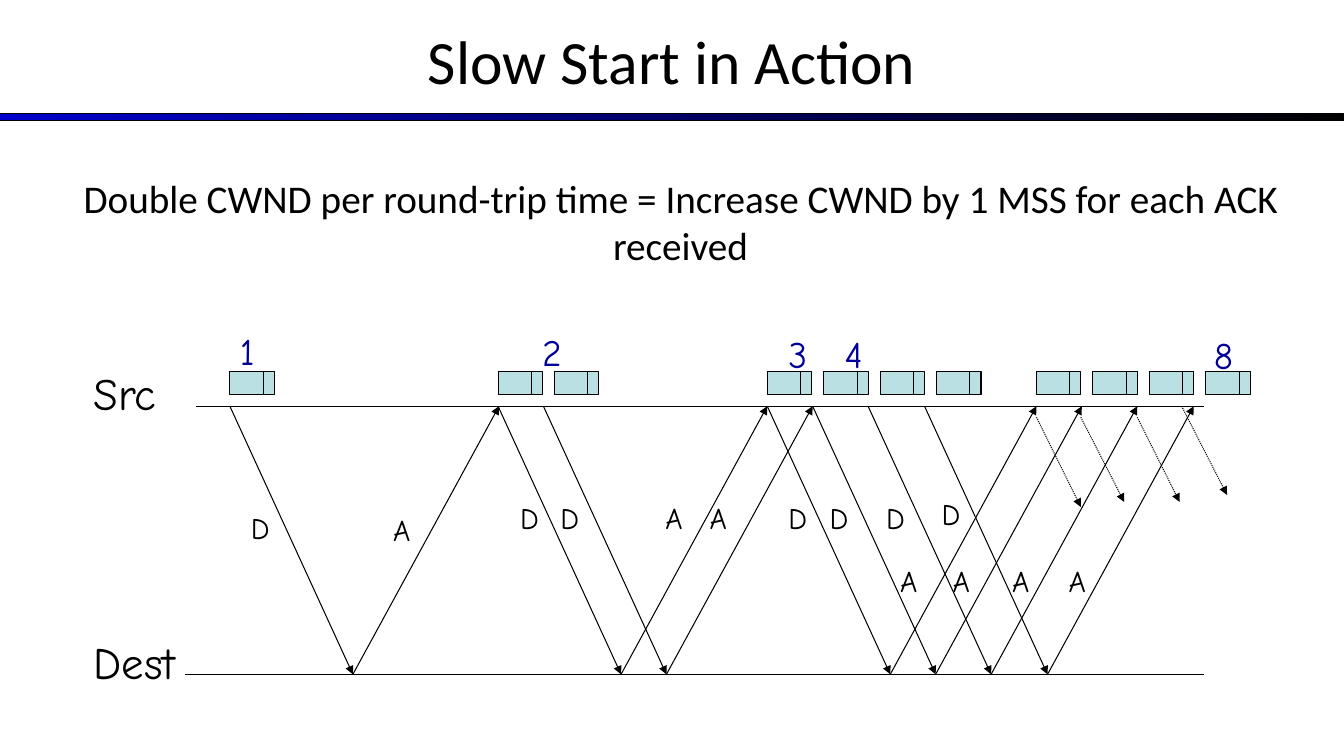
from dataclasses import dataclass

from lxml import etree
from pptx import Presentation
from pptx.dml.color import RGBColor
from pptx.enum.dml import MSO_LINE
from pptx.enum.shapes import MSO_CONNECTOR, MSO_SHAPE
from pptx.enum.text import MSO_ANCHOR, MSO_AUTO_SIZE, PP_ALIGN
from pptx.oxml.ns import qn
from pptx.util import Inches, Pt

STRAIGHT = MSO_CONNECTOR.STRAIGHT
RECTANGLE = MSO_SHAPE.RECTANGLE
DOTTED = MSO_LINE.ROUND_DOT
CENTER = PP_ALIGN.CENTER
MIDDLE = MSO_ANCHOR.MIDDLE
FIT_SHAPE = MSO_AUTO_SIZE.SHAPE_TO_FIT_TEXT


@dataclass(frozen=True)
class Theme:
    ink: RGBColor = RGBColor(0x00, 0x00, 0x00)
    rule_blue: RGBColor = RGBColor(0x00, 0x00, 0xCC)
    count_blue: RGBColor = RGBColor(0x00, 0x00, 0x99)
    segment: RGBColor = RGBColor(0xBB, 0xE0, 0xE3)
    heading_font: str = "Calibri"
    diagram_font: str = "Comic Neue"
    title_size: float = 44
    statement_size: float = 28
    host_size: float = 32
    count_size: float = 26.7
    message_size: float = 21.3
    line_width: float = 0.75


THEME = Theme()

TITLE = "Slow Start in Action"
STATEMENT = "Double CWND per round-trip time = Increase CWND by 1 MSS for each ACK received"
HOSTS = [("Src", 3.58, 0.96), ("Dest", 6.25, 1.2)]
COUNTS = [("1", 2.28, 3.21), ("2", 5.28, 3.22), ("3", 7.72, 3.24), ("4", 8.28, 3.24), ("8", 11.94, 3.25)]
MESSAGES = [
    ("D", 2.39, 5.01), ("A", 3.8, 5.03),
    ("D", 5.06, 4.91), ("D", 5.46, 4.91),
    ("A", 6.5, 4.91), ("A", 6.94, 4.91),
    ("D", 7.72, 4.91), ("D", 8.13, 4.91), ("D", 8.69, 4.91), ("D", 9.24, 4.87),
    ("A", 8.83, 5.53), ("A", 9.35, 5.53), ("A", 9.94, 5.53), ("A", 10.5, 5.53),
]
ROUNDS = [(2.28, 1), (4.94, 2), (7.61, 4), (10.28, 4)]
SEND_TIMES = [2.28, 4.94, 5.39, 7.61, 8.06, 8.61, 9.17]
NEXT_SENDS = [
    (10.28, 4.14, 10.72, 5.03), (10.72, 4.14, 11.15, 4.98),
    (11.28, 4.14, 11.7, 4.98), (11.72, 4.03, 12.17, 4.91),
]

SRC_Y, DEST_Y = 4.03, 6.69
TIMELINES = [(1.94, SRC_Y), (1.83, DEST_Y)]
TIMELINE_END = 11.94
DATA_DELAY, ROUND_TRIP = 1.22, 2.67
SEGMENT_TOP, SEGMENT_WIDTH, SEGMENT_HEIGHT = 3.69, 0.44, 0.22
SEGMENT_PITCH, HEADER_OFFSET = 0.56, 0.33


def add_words(frame, words, size, color=THEME.ink, font=THEME.diagram_font):
    run = frame.paragraphs[0].add_run()
    run.text = words
    run.font.size = Pt(size)
    run.font.name = font
    run.font.color.rgb = color


def add_label(slide, words, left, top, width, height, size, color=THEME.ink):
    label = slide.shapes.add_textbox(Inches(left), Inches(top), Inches(width), Inches(height))
    label.text_frame.word_wrap = False
    label.text_frame.auto_size = FIT_SHAPE
    add_words(label.text_frame, words, size, color)


def add_line(slide, x1, y1, x2, y2, arrow=False, dash=None):
    line = slide.shapes.add_connector(STRAIGHT, Inches(x1), Inches(y1), Inches(x2), Inches(y2))
    line.line.color.rgb = THEME.ink
    line.line.width = Pt(THEME.line_width)
    if dash is not None:
        line.line.dash_style = dash
    if arrow:
        etree.SubElement(line.line._get_or_add_ln(), qn("a:tailEnd"), type="triangle")
    etree.SubElement(line._element.spPr, qn("a:effectLst"))


def add_box(slide, left, top, width, height):
    box = slide.shapes.add_shape(RECTANGLE, Inches(left), Inches(top), Inches(width), Inches(height))
    box.shadow.inherit = False
    box.line.color.rgb = THEME.ink
    box.line.width = Pt(THEME.line_width)
    return box


def add_segment(slide, left):
    box = add_box(slide, left, SEGMENT_TOP, SEGMENT_WIDTH, SEGMENT_HEIGHT)
    box.fill.solid()
    box.fill.fore_color.rgb = THEME.segment
    header = left + HEADER_OFFSET
    add_line(slide, header, SEGMENT_TOP, header, SEGMENT_TOP + SEGMENT_HEIGHT)


def add_heading(slide):
    rule = add_box(slide, 0, 1.13, 13.33, 0.07)
    rule.fill.gradient()
    rule.fill.gradient_angle = 0
    for stop, color in zip(rule.fill.gradient_stops, (THEME.rule_blue, THEME.ink)):
        stop.color.rgb = color

    title = slide.shapes.title
    title.left, title.top = Inches(0), Inches(-0.03)
    title.width, title.height = Inches(13.33), Inches(1.25)
    title.text_frame.vertical_anchor = MIDDLE
    title.text_frame.paragraphs[0].alignment = CENTER
    add_words(title.text_frame, TITLE, THEME.title_size, font=THEME.heading_font)

    statement = slide.shapes.add_textbox(Inches(0.25), Inches(1.68), Inches(13), Inches(1.04))
    statement.text_frame.word_wrap = True
    statement.text_frame.auto_size = FIT_SHAPE
    statement.text_frame.paragraphs[0].alignment = CENTER
    add_words(statement.text_frame, STATEMENT, THEME.statement_size, font=THEME.heading_font)


def add_exchange(slide):
    for start, y in TIMELINES:
        add_line(slide, start, y, TIMELINE_END, y)
    for sent in SEND_TIMES:
        received = sent + DATA_DELAY
        add_line(slide, sent, SRC_Y, received, DEST_Y, arrow=True)
        add_line(slide, received, DEST_Y, sent + ROUND_TRIP, SRC_Y, arrow=True)
    for ends in NEXT_SENDS:
        add_line(slide, *ends, arrow=True, dash=DOTTED)
    for start, window in ROUNDS:
        for position in range(window):
            add_segment(slide, start + position * SEGMENT_PITCH)


def add_labels(slide):
    for host, top, width in HOSTS:
        add_label(slide, host, 0.83, top, width, 0.64, THEME.host_size)
    for count, left, top in COUNTS:
        add_label(slide, count, left, top, 0.43, 0.55, THEME.count_size, THEME.count_blue)
    for message, left, top in MESSAGES:
        add_label(slide, message, left, top, 0.42, 0.46, THEME.message_size)


def main():
    deck = Presentation()
    deck.slide_width, deck.slide_height = Inches(13.33), Inches(7.5)
    slide = deck.slides.add_slide(deck.slide_layouts.get_by_name("Title Only"))
    add_heading(slide)
    add_exchange(slide)
    add_labels(slide)
    deck.save("out.pptx")


if __name__ == "__main__":
    main()
